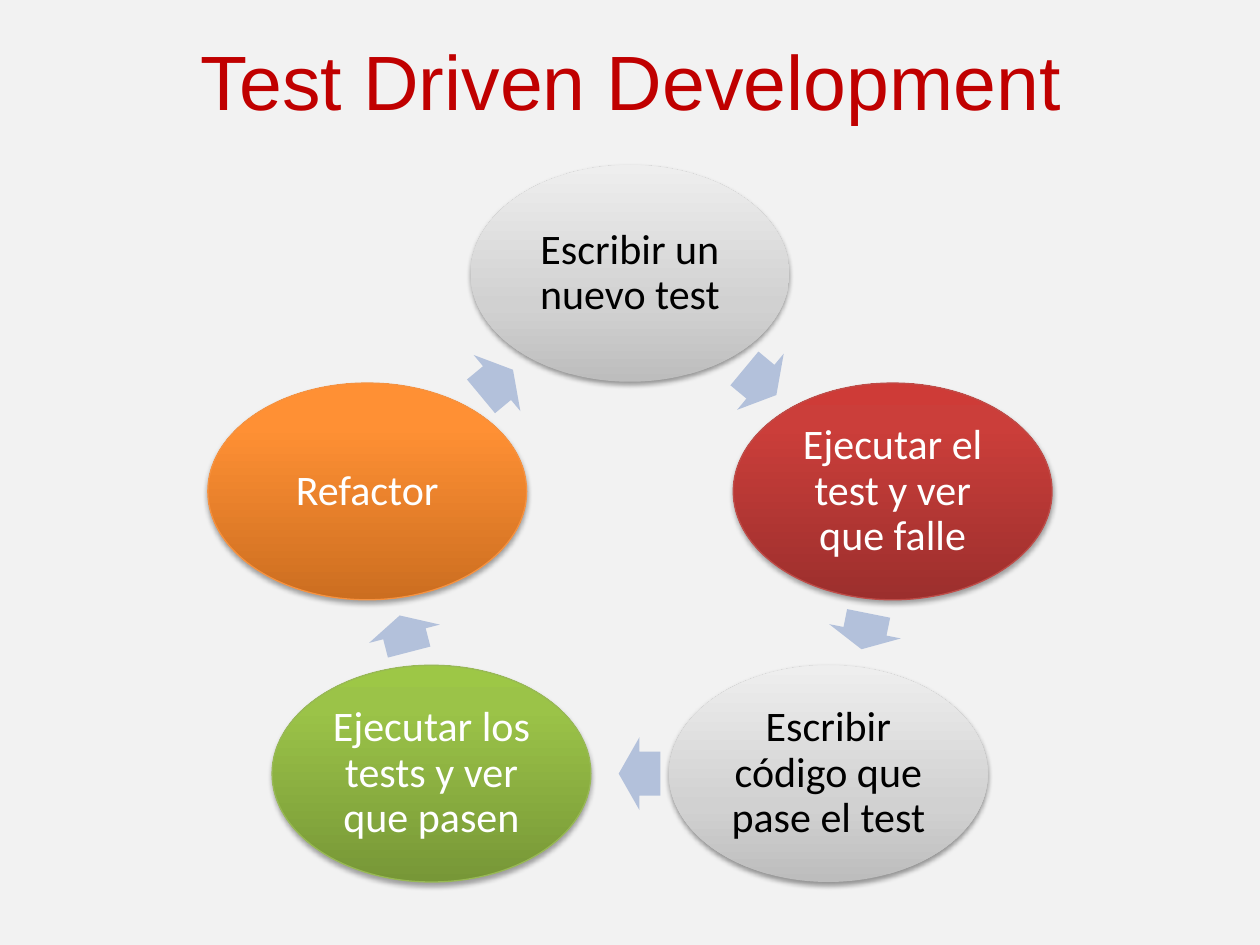
"""Build a slide with the five-step Test Driven Development cycle."""
from dataclasses import dataclass

from lxml import etree
from pptx import Presentation
from pptx.dml.color import RGBColor
from pptx.enum.shapes import MSO_SHAPE
from pptx.enum.text import MSO_ANCHOR, PP_ALIGN
from pptx.oxml.ns import qn
from pptx.util import Inches, Pt

ELLIPSE, ARROW = MSO_SHAPE.OVAL, MSO_SHAPE.RIGHT_ARROW
CENTER, MIDDLE = PP_ALIGN.CENTER, MSO_ANCHOR.MIDDLE

W, H = Inches(10), Inches(7.5)
COLS, ROWS = 100, 75
STEP_W, STEP_H = 25.3, 17.2
ARROW_H = 5.8
AXIS = 50
TOP_ROW, SIDE_ROW, BASE_ROW = 21.7, 39, 61.4
SIDE_REACH, BASE_REACH = 20.85, 15.75

COLORS = {
    "back": "F2F2F2", "title": "C00000", "arrow": "B3C1DB",
    "black": "000000", "white": "FFFFFF",
    "red": "BF4C48", "green": "98B955", "orange": "F69240",
}
GRADIENTS = {
    "gray": ((0, "BDBDBD"), (35, "D1D1D1"), (100, "EEEEEE")),
    "red": ((0, "9C2F2D"), (80, "CB3E3A"), (100, "CE3B37")),
    "green": ((0, "779737"), (80, "9BC348"), (100, "9DC746")),
    "orange": ((0, "CC6E20"), (80, "FF9034"), (100, "FF9136")),
}
FRAME = {
    "word_wrap": True, "vertical_anchor": MIDDLE,
    "margin_left": Inches(0.03), "margin_right": Inches(0.03),
    "margin_top": Inches(0.03), "margin_bottom": Inches(0.03),
}


@dataclass(frozen=True)
class Step:
    """One ellipse of the cycle, placed by its centre on the grid."""
    text: str
    col: float
    row: float
    tone: str


@dataclass(frozen=True)
class Turn:
    """One arrow between two steps, placed by its centre on the grid."""
    col: float
    row: float
    width: float
    angle: float


STEPS = (
    Step("Escribir un nuevo test", AXIS, TOP_ROW, "gray"),
    Step("Ejecutar el test y ver que falle", AXIS + SIDE_REACH, SIDE_ROW, "red"),
    Step("Escribir código que pase el test", AXIS + BASE_REACH, BASE_ROW, "gray"),
    Step("Ejecutar los tests y ver que pasen", AXIS - BASE_REACH, BASE_ROW, "green"),
    Step("Refactor", AXIS - SIDE_REACH, SIDE_ROW, "orange"),
)
TURNS = (
    Turn(60.35, 30.3, 3.3, 39.7),
    Turn(68.65, 50.1, 2.9, 101.3),
    Turn(50.75, 61.4, 3.3, 180),
    Turn(32.1, 50.3, 3, 255.5),
    Turn(39.45, 30.4, 3.3, 320.3),
)


def rgb(name: str) -> RGBColor:
    """Return a named colour."""
    return RGBColor.from_string(COLORS[name])


def box(col: float, row: float, width: float, height: float) -> tuple[int, ...]:
    """Turn a centre and size on the grid into left, top, width and height."""
    return (int((col - width / 2) * W / COLS), int((row - height / 2) * H / ROWS),
            int(width * W / COLS), int(height * H / ROWS))


def apply(target, values: dict) -> None:
    """Set every attribute in a dict of format values."""
    for name, value in values.items():
        setattr(target, name, value)


def write(tf, text: str, font: str, size: float, color: str) -> None:
    """Write one centred paragraph."""
    p = tf.paragraphs[0]
    p.alignment = CENTER
    r = p.add_run()
    r.text = text
    apply(r.font, {"name": font, "size": Pt(size)})
    r.font.color.rgb = rgb(color)


def add_color(parent, value: str):
    """Append an RGB colour element."""
    return etree.SubElement(parent, qn("a:srgbClr"), val=value)


def shade(sp, tone: str) -> None:
    """Fill a shape with a vertical gradient, dark at the bottom."""
    sp.fill.gradient()
    sp.fill.gradient_angle = 90
    stops = sp._element.spPr.find(f".//{qn('a:gsLst')}")
    for stop in list(stops):
        stops.remove(stop)
    for share, value in GRADIENTS[tone]:
        add_color(etree.SubElement(stops, qn("a:gs"), pos=str(share * 1000)), value)


def drop_shadow(sp, alpha: int, distance: float) -> None:
    """Add a soft shadow below a shape."""
    sp.shadow.inherit = False
    effects = sp._element.spPr.find(qn("a:effectLst"))
    shadow = etree.SubElement(effects, qn("a:outerShdw"), blurRad=str(Pt(3.1)),
                              dist=str(Pt(distance)), dir="5400000", rotWithShape="0")
    etree.SubElement(add_color(shadow, COLORS["black"]), qn("a:alpha"), val=str(alpha * 1000))


def add_step(s, step: Step) -> None:
    """Draw one step of the cycle."""
    sp = s.shapes.add_shape(ELLIPSE, *box(step.col, step.row, STEP_W, STEP_H))
    shade(sp, step.tone)
    plain = step.tone == "gray"
    if plain:
        sp.line.fill.background()
    else:
        sp.line.color.rgb = rgb(step.tone)
        sp.line.width = Pt(0.75)
    drop_shadow(sp, *((38, 1.6) if plain else (35, 1.8)))
    tf = sp.text_frame
    apply(tf, FRAME)
    write(tf, step.text, "Calibri", 24, "black" if plain else "white")
    tf.paragraphs[0].line_spacing = 0.9


def add_turn(s, turn: Turn) -> None:
    """Draw one arrow of the cycle."""
    sp = s.shapes.add_shape(ARROW, *box(turn.col, turn.row, turn.width, ARROW_H))
    sp.rotation = turn.angle
    sp.adjustments[0], sp.adjustments[1] = 0.6, 0.5
    sp.fill.solid()
    sp.fill.fore_color.rgb = rgb("arrow")
    sp.line.fill.background()
    sp.shadow.inherit = False


def main() -> None:
    """Build and save the slide."""
    prs = Presentation()
    prs.slide_width, prs.slide_height = W, H
    s = prs.slides.add_slide(prs.slide_layouts[5])
    s.background.fill.solid()
    s.background.fill.fore_color.rgb = rgb("back")

    title = s.shapes.title
    left, top, width, height = box(50.1, 6.35, 90, 7.9)
    apply(title, {"left": left, "top": top, "width": width, "height": height})
    title.text_frame.vertical_anchor = MIDDLE
    write(title.text_frame, "Test Driven Development", "Arial", 44, "title")

    for step, turn in zip(STEPS, TURNS):
        add_step(s, step)
        add_turn(s, turn)
    prs.save("out.pptx")


if __name__ == "__main__":
    main()
